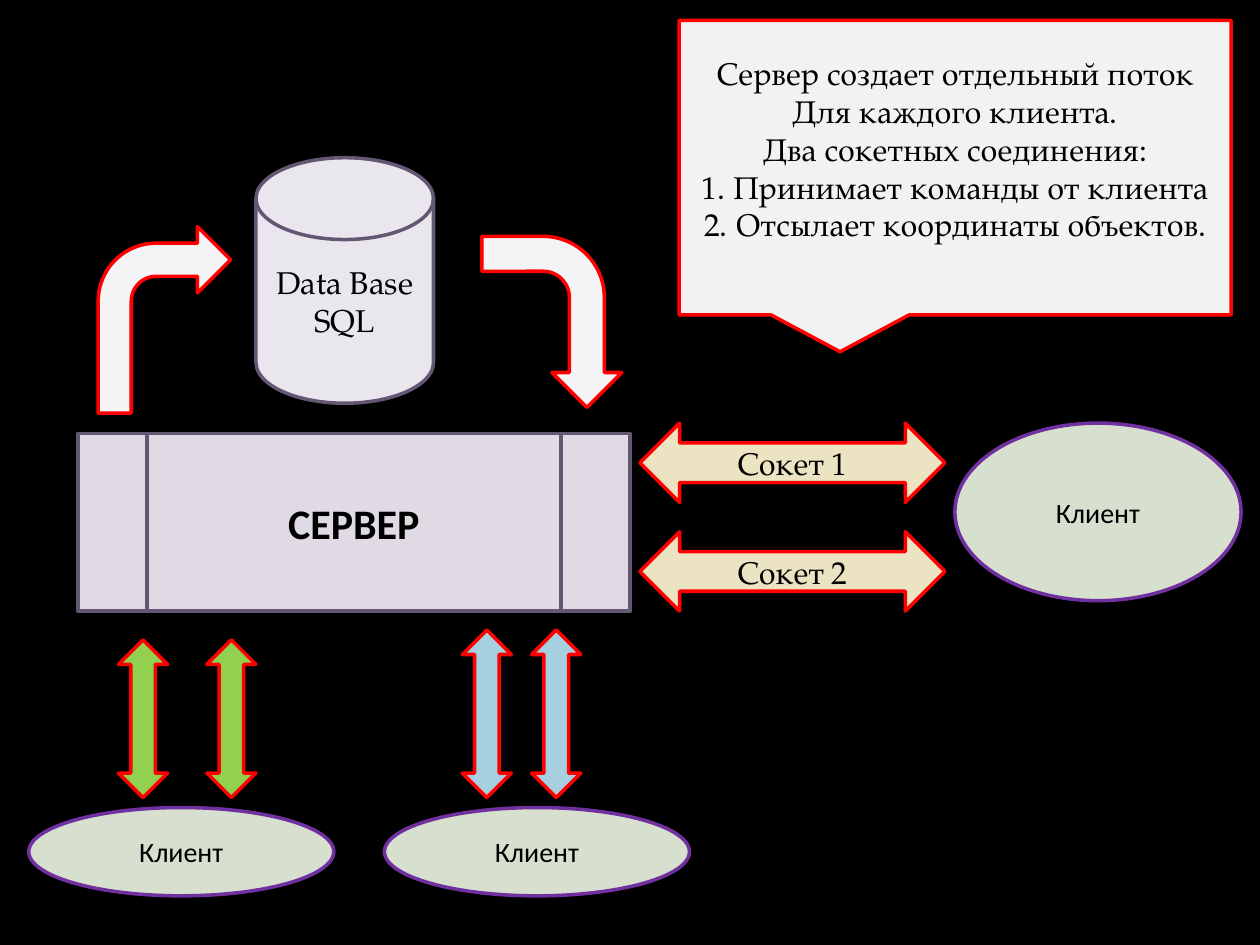
from pptx import Presentation
from pptx.dml.color import RGBColor
from pptx.enum.shapes import MSO_SHAPE as Shape
from pptx.enum.text import MSO_ANCHOR, PP_ALIGN
from pptx.util import Cm, Pt

BLACK = RGBColor(0x00, 0x00, 0x00)
RED = RGBColor(0xFF, 0x00, 0x00)
PURPLE = RGBColor(0x70, 0x30, 0xA0)
SLATE = RGBColor(0x64, 0x57, 0x73)
LIGHT_GREY = RGBColor(0xF2, 0xF2, 0xF2)
PALE_LILAC = RGBColor(0xE9, 0xE7, 0xED)
LILAC = RGBColor(0xDF, 0xDA, 0xE3)
SAGE = RGBColor(0xD7, 0xDF, 0xCE)
GREEN = RGBColor(0x92, 0xD0, 0x50)
BLUE = RGBColor(0xA6, 0xD0, 0xDF)
SAND = RGBColor(0xEB, 0xE3, 0xC2)
OFF_WHITE = RGBColor(0xF4, 0xF3, 0xF6)
SERIF = "TeX Gyre Pagella"
SANS = "Calibri"

presentation = Presentation()
presentation.slide_width = Cm(25.4)
presentation.slide_height = Cm(19.05)
slide = presentation.slides.add_slide(presentation.slide_layouts[6])
slide.background.fill.solid()
slide.background.fill.fore_color.rgb = BLACK


def add_block(kind, left, top, width, height, fill, line):
    shape = slide.shapes.add_shape(kind, Cm(left), Cm(top), Cm(width), Cm(height))
    shape.shadow.inherit = False
    shape.fill.solid()
    shape.fill.fore_color.rgb = fill
    shape.line.color.rgb = line
    shape.line.width = Pt(2)
    return shape


def write_text(shape, lines, font_name, size, bold=False):
    frame = shape.text_frame
    frame.word_wrap = True
    frame.vertical_anchor = MSO_ANCHOR.MIDDLE
    frame.text = "\n".join(lines)
    for paragraph in frame.paragraphs:
        paragraph.alignment = PP_ALIGN.CENTER
        paragraph.font.name = font_name
        paragraph.font.size = Pt(size)
        paragraph.font.bold = bold
        paragraph.font.color.rgb = BLACK


callout = add_block(Shape.RECTANGULAR_CALLOUT, 13.69, 0.41, 11.13, 5.94, LIGHT_GREY, RED)
write_text(callout, [
    "Сервер создает отдельный поток",
    "Для каждого клиента.",
    "Два сокетных соединения:",
    "1. Принимает команды от клиента",
    "2. Отсылает координаты объектов.",
], SERIF, 18)
callout.text_frame.margin_bottom = Cm(0.89)

database = add_block(Shape.FLOWCHART_MAGNETIC_DISK, 5.16, 3.18, 3.58, 4.95, PALE_LILAC, SLATE)
write_text(database, ["Data Base", "SQL"], SERIF, 18)

server = add_block(Shape.FLOWCHART_PREDEFINED_PROCESS, 1.57, 8.74, 11.13, 3.58, LILAC, SLATE)
write_text(server, ["СЕРВЕР"], SANS, 24, bold=True)

for left, top, width, height in [
    (19.25, 8.53, 5.77, 3.58),
    (0.58, 16.28, 6.15, 1.78),
    (7.75, 16.28, 6.15, 1.78),
]:
    client = add_block(Shape.OVAL, left, top, width, height, SAGE, PURPLE)
    write_text(client, ["Клиент"], SANS, 16)

for label, top in [("Сокет 1", 8.53), ("Сокет 2", 10.72)]:
    socket = add_block(Shape.LEFT_RIGHT_ARROW, 12.9, top, 6.15, 1.6, SAND, RED)
    write_text(socket, [label], SERIF, 18)
    socket.text_frame.margin_top = socket.text_frame.margin_bottom = 0

for lefts, top, fill in [((2.39, 4.17), 12.9, GREEN), ((9.32, 10.72), 12.7, BLUE)]:
    for left in lefts:
        add_block(Shape.UP_DOWN_ARROW, left, top, 0.99, 16.08 - top, fill, RED)

add_block(Shape.BENT_ARROW, 1.98, 4.57, 2.67, 3.76, OFF_WHITE, RED)
return_arrow = add_block(Shape.BENT_ARROW, 9.4, 5.08, 3.45, 2.82, OFF_WHITE, RED)
return_arrow.rotation = 90

presentation.save("out.pptx")
